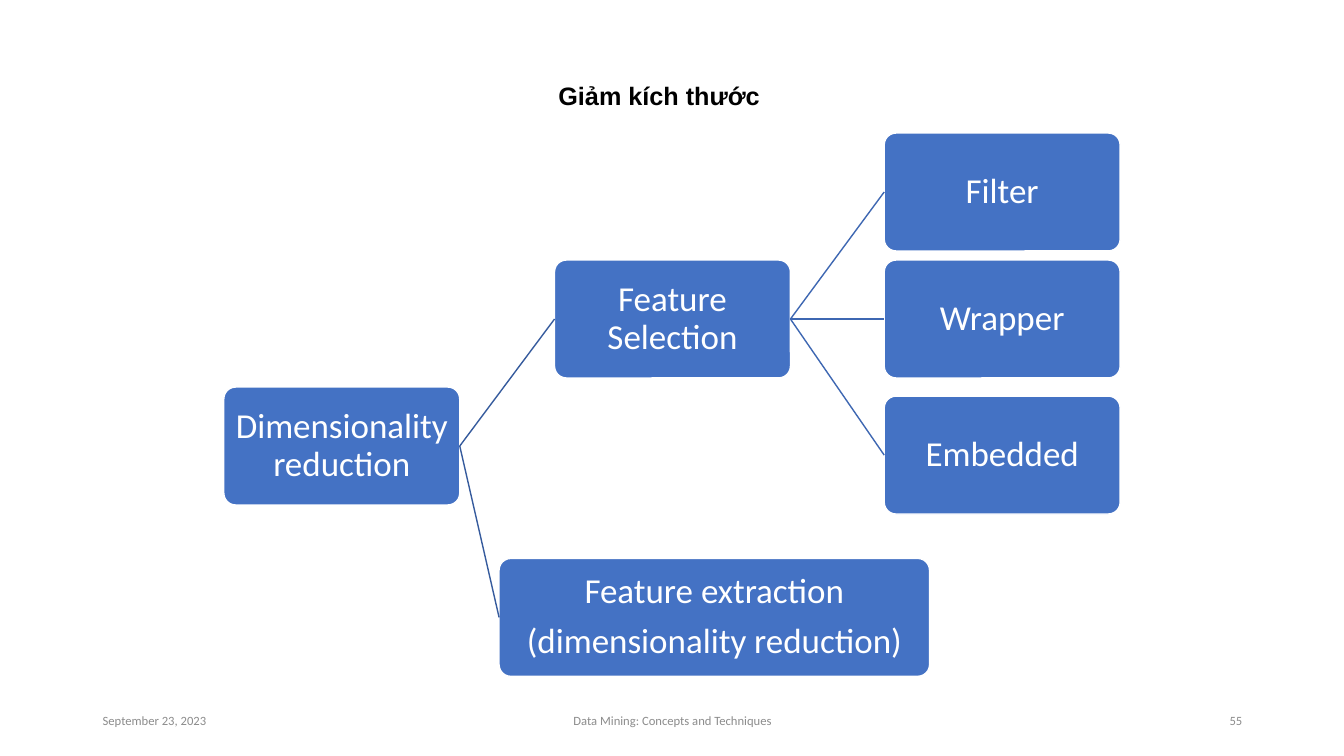
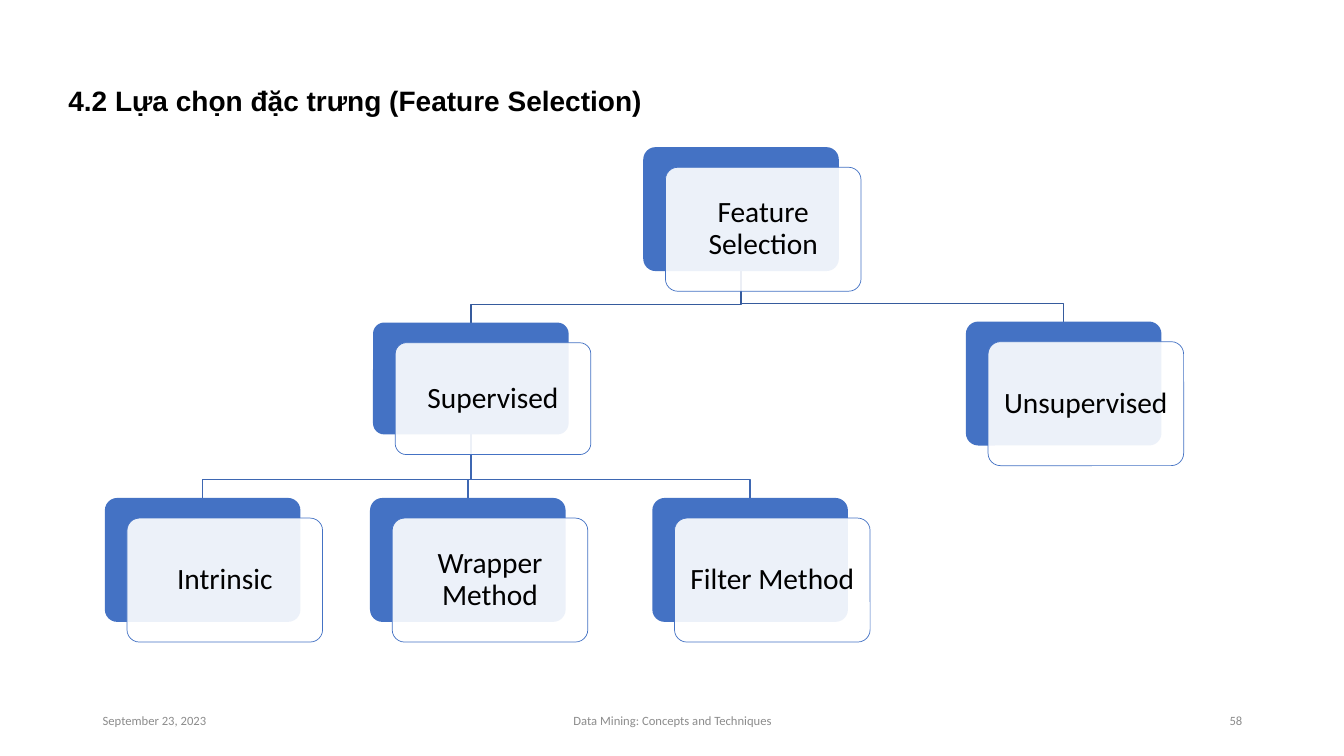
from lxml import etree
from pptx import Presentation
from pptx import util as u
from pptx.dml import color
from pptx.enum import shapes, text
from pptx.oxml import ns

HUES = {
    "blue": "4472C4", "deep": "365B9D", "mid": "3E67B2",
    "white": "FFFFFF", "black": "000000", "gray": "8C8C8C",
}
LEFT, MID, RIGHT = text.PP_ALIGN.LEFT, text.PP_ALIGN.CENTER, text.PP_ALIGN.RIGHT
CARD = 1.94
NODE = 2.34


class Deck:
    def __init__(self):
        self.prs = Presentation()
        self.prs.slide_width = u.Inches(13.33)
        self.prs.slide_height = u.Inches(7.5)
        self.slide = None

    def hue(self, name):
        return color.RGBColor.from_string(HUES[name])

    def start(self, number):
        """Open a blank slide with its footer."""
        self.slide = self.prs.slides.add_slide(self.prs.slide_layouts[6])
        for x, w, words, align in (
            (0.92, 3, "September 23, 2023", LEFT),
            (4.42, 4.5, "Data Mining: Concepts and Techniques", MID),
            (9.42, 3, str(number), RIGHT),
        ):
            frame = self.label(x, 6.95, w, 0.4)
            frame.vertical_anchor = text.MSO_ANCHOR.MIDDLE
            self.put(frame, [words], 9, "gray", align)

    def label(self, x, y, w, h):
        box = self.slide.shapes.add_textbox(*map(u.Inches, (x, y, w, h)))
        box.text_frame.word_wrap = True
        return box.text_frame

    def put(self, frame, lines, size, hue, align, font="Calibri", bold=False):
        """Add one styled paragraph for each line."""
        for i, words in enumerate(lines):
            para = frame.add_paragraph() if i else frame.paragraphs[0]
            para.alignment = align
            run = para.add_run()
            run.text = words
            run.font.name, run.font.size = font, u.Pt(size)
            run.font.bold = bold
            run.font.color.rgb = self.hue(hue)

    def title(self, x, y, w, h, words, size):
        self.put(self.label(x, y, w, h), [words], size, "black", LEFT, "Arial", True)

    def box(self, x, y, w, h, fill="blue", line=None, weight=1, alpha=None):
        item = self.slide.shapes.add_shape(
            shapes.MSO_SHAPE.ROUNDED_RECTANGLE, *map(u.Inches, (x, y, w, h)))
        item.adjustments[0] = 0.1
        item.shadow.inherit = False
        item.fill.solid()
        item.fill.fore_color.rgb = self.hue(fill)
        if alpha:
            tint = item._element.spPr.find(".//" + ns.qn("a:srgbClr"))
            etree.SubElement(tint, ns.qn("a:alpha")).set("val", str(alpha * 1000))
        if line:
            self.stroke(item.line, line, weight)
        else:
            item.line.fill.background()
        return item

    def stroke(self, line, hue, weight=1):
        line.color.rgb = self.hue(hue)
        line.width = u.Pt(weight)

    def fill_in(self, item, lines, size, hue, inset):
        """Centre text in a box."""
        frame = item.text_frame
        frame.word_wrap = True
        frame.vertical_anchor = text.MSO_ANCHOR.MIDDLE
        frame.margin_left = frame.margin_right = u.Inches(inset)
        frame.margin_top = frame.margin_bottom = u.Inches(inset)
        self.put(frame, lines, size, hue, MID)
        for para in frame.paragraphs:
            para.line_spacing = 0.9
            para.space_after = u.Pt(round(size * 0.35))

    def node(self, x, y, w, *lines):
        item = self.box(x, y, w, 1.17, line="white")
        self.fill_in(item, lines, 25, "white", 0.02)
        return item

    def link(self, a, b, hue):
        """Join the right side of a to the left side of b."""
        wire = self.slide.shapes.add_connector(shapes.MSO_CONNECTOR.STRAIGHT, 0, 0, 0, 0)
        wire.begin_connect(a, 3)
        wire.end_connect(b, 1)
        self.stroke(wire.line, hue)
        etree.SubElement(wire._element.spPr, ns.qn("a:effectLst"))

    def card(self, x, y, h, words):
        """Draw a solid box with a see-through box offset in front."""
        self.box(x, y, CARD, h)
        front = self.box(x + 0.22, y + 0.2, CARD, h, "white", "blue", 0.5, 90)
        self.fill_in(front, [words], 21, "black", 0.09)

    def branch(self, top, low, hue):
        """Run an elbow from the foot of one card to the head of another."""
        x, y = top[0] + CARD / 2, top[1] + top[2]
        end, head = low[0] + CARD / 2, low[1]
        turn = head - 0.18
        pen = self.slide.shapes.build_freeform(u.Inches(x), u.Inches(y))
        pen.add_line_segments(
            [(u.Inches(a), u.Inches(b)) for a, b in ((x, turn), (end, turn), (end, head))],
            close=False)
        wire = pen.convert_to_shape()
        wire.shadow.inherit = False
        wire.fill.background()
        self.stroke(wire.line, hue)


def reduce(deck):
    deck.start(55)
    deck.title(5.44, 0.75, 3.98, 0.4, "Giảm kích thước", 18)
    root = deck.node(2.22, 3.84, NODE, "Dimensionality reduction")
    pick = deck.node(5.5, 2.58, NODE, "Feature Selection")
    deck.link(root, pick, "deep")
    for y, words in ((1.32, "Filter"), (2.58, "Wrapper"), (3.93, "Embedded")):
        deck.link(pick, deck.node(8.77, y, NODE, words), "mid")
    extract = deck.node(4.95, 5.54, 4.27, "Feature extraction", "(dimensionality reduction)")
    deck.link(root, extract, "deep")


def select(deck):
    deck.start(58)
    deck.title(0.58, 0.78, 6.66, 0.44, "4.2 Lựa chọn đặc trưng (Feature Selection)", 20)
    root = (6.38, 1.46, 1.23, "Feature Selection")
    guided = (3.7, 3.2, 1.11, "Supervised")
    free = (9.58, 3.19, 1.23, "Unsupervised")
    leaves = [(x, 4.94, 1.23, words) for x, words in (
        (1.04, "Intrinsic"), (3.67, "Wrapper Method"), (6.47, "Filter Method"))]
    for top, lows, hue in ((root, (free, guided), "deep"), (guided, leaves, "mid")):
        for low in lows:
            deck.branch(top, low, hue)
    for card in (root, guided, *leaves, free):
        deck.card(*card)


def main():
    deck = Deck()
    reduce(deck)
    select(deck)
    deck.prs.save("out.pptx")


if __name__ == "__main__":
    main()
